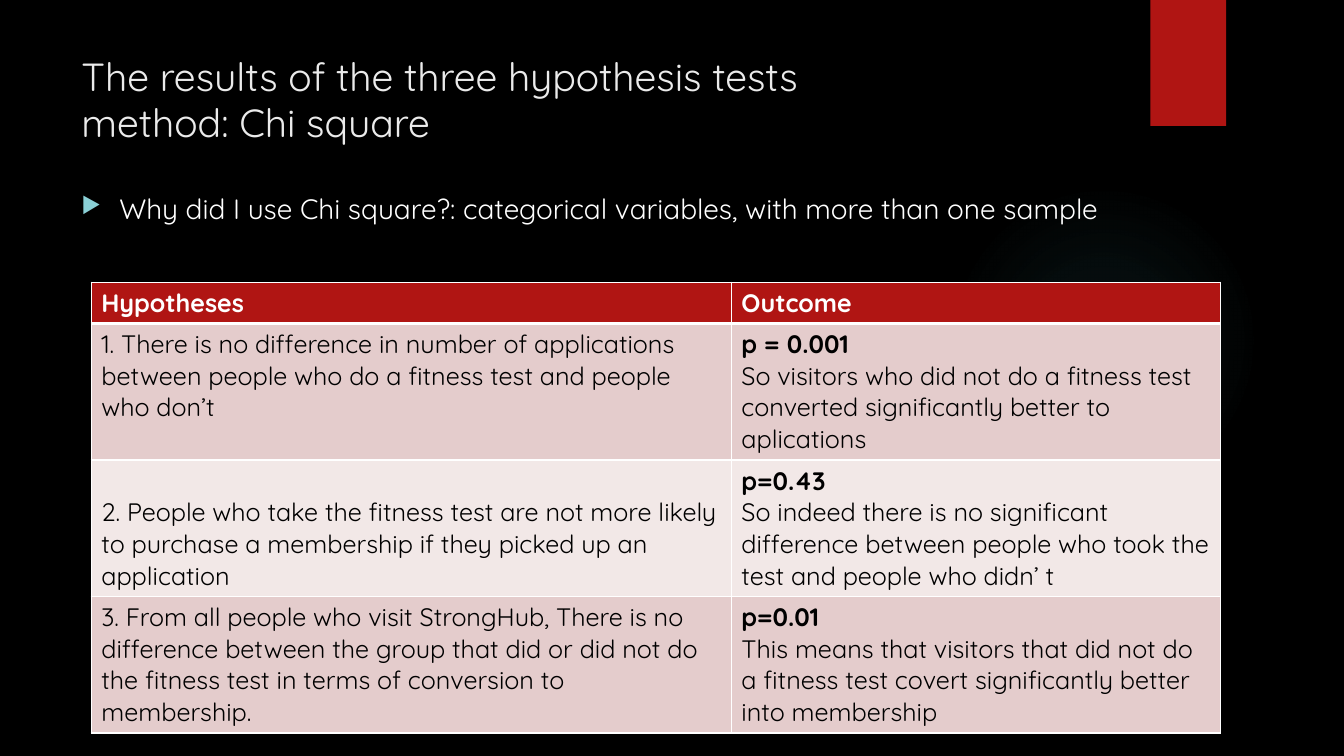
import pptx
import pptx.dml.color
import pptx.enum.shapes
import pptx.enum.text
import pptx.oxml
import pptx.oxml.ns
import pptx.util

Pt = pptx.util.Pt
RGBColor = pptx.dml.color.RGBColor
MSO_SHAPE = pptx.enum.shapes.MSO_SHAPE
MSO_ANCHOR = pptx.enum.text.MSO_ANCHOR

FONT = "Quicksand"
BLACK = RGBColor(0x00, 0x00, 0x00)
WHITE = RGBColor(0xFF, 0xFF, 0xFF)
TITLE_GREY = RGBColor(0xEB, 0xEB, 0xEB)
RED = RGBColor(0xB0, 0x15, 0x13)
DARK_BAND = RGBColor(0xE4, 0xCC, 0xCC)
LIGHT_BAND = RGBColor(0xF2, 0xE8, 0xE7)
GLOW = RGBColor(0x50, 0xB9, 0xC1)
BULLET = RGBColor(0x8A, 0xD0, 0xD6)
NAMESPACE = pptx.oxml.ns.nsdecls("a")


def style(para, size, color, bold=False):
    """Format every run of a paragraph."""
    for span in para.runs:
        span.font.name = FONT
        span.font.size = Pt(size)
        span.font.bold = bold
        span.font.color.rgb = color


def add_text(page, left, top, width, height, text, size, color):
    """Add a wrapped text box and return its paragraph."""
    box = page.shapes.add_textbox(Pt(left), Pt(top), Pt(width), Pt(height))
    box.text_frame.word_wrap = True
    para = box.text_frame.paragraphs[0]
    para.text = text
    style(para, size, color)
    return para


deck = pptx.Presentation()
deck.slide_width, deck.slide_height = Pt(960), Pt(540)
page = deck.slides.add_slide(deck.slide_layouts[6])
page.background.fill.solid()
page.background.fill.fore_color.rgb = BLACK

# Soft glow and red tab
glow = page.shapes.add_shape(MSO_SHAPE.OVAL, Pt(677.5), Pt(131.8), Pt(221.8), Pt(221.8))
tab = page.shapes.add_shape(MSO_SHAPE.RECTANGLE, Pt(821.8), Pt(0), Pt(54), Pt(90))
for shape in (glow, tab):
    shape.shadow.inherit = False
    shape.line.fill.background()
    shape.fill.solid()
    shape.fill.fore_color.rgb = RED

stops = "".join(
    f'<a:gs pos="{position * 1000}"><a:srgbClr val="{GLOW}">'
    f'<a:alpha val="{opacity * 1000}"/></a:srgbClr></a:gs>'
    for position, opacity in ((0, 7), (36, 6), (69, 0))
)
gradient = pptx.oxml.parse_xml(
    f'<a:gradFill {NAMESPACE}><a:gsLst>{stops}</a:gsLst><a:path path="circle">'
    '<a:fillToRect l="50000" t="50000" r="50000" b="50000"/></a:path></a:gradFill>'
)
properties = glow.element.spPr
properties.replace(properties.find(pptx.oxml.ns.qn("a:solidFill")), gradient)

# Title and reason
title = add_text(page, 51.1, 36, 741, 110,
                 "The results of the three hypothesis tests\vmethod: Chi square", 28, TITLE_GREY)
title.line_spacing = 0.97

reason = add_text(page, 51.1, 133.2, 770, 60,
                  "Why did I use Chi square?: categorical variables, with more than one sample",
                  20, WHITE)
reason.space_before = Pt(10)
bullet = reason._p.get_or_add_pPr()
bullet.set("marL", str(Pt(27)))
bullet.set("indent", str(-Pt(27)))
for markup in (
    f'<a:buClr {NAMESPACE}><a:srgbClr val="{BULLET}"/></a:buClr>',
    f'<a:buSzPct {NAMESPACE} val="80000"/>',
    f'<a:buChar {NAMESPACE} char="\u25b6"/>',
):
    bullet.append(pptx.oxml.parse_xml(markup))

# Hypotheses and outcomes
rows = [
    ("Hypotheses", "Outcome"),
    ("1. There is no difference in number of applications between people who do a fitness test "
     "and people who don’t",
     "p = 0.001\nSo visitors who did not do a fitness test converted significantly better to "
     "aplications"),
    ("2. People who take the fitness test are not more likely to purchase a membership if they "
     "picked up an application",
     "p=0.43\nSo indeed there is no significant difference between people who took the test and "
     "people who didn’ t"),
    ("3. From all people who visit StrongHub, There is no difference between the group that did "
     "or did not do the fitness test in terms of conversion to membership.",
     "p=0.01\nThis means that visitors that did not do a fitness test covert significantly "
     "better into membership"),
]
fills = (RED, DARK_BAND, LIGHT_BAND, DARK_BAND)
table = page.shapes.add_table(4, 2, Pt(65.2), Pt(201.6), Pt(806.4), Pt(322)).table
table.columns[0].width, table.columns[1].width = Pt(457.2), Pt(349.2)

for row, texts in enumerate(rows):
    header = row == 0
    table.rows[row].height = Pt(29.5 if header else 97.5)
    for column, text in enumerate(texts):
        cell = table.cell(row, column)
        cell.text_frame.text = text
        cell.vertical_anchor = MSO_ANCHOR.BOTTOM if row > 1 else MSO_ANCHOR.TOP
        cell.fill.solid()
        cell.fill.fore_color.rgb = fills[row]
        for index, para in enumerate(cell.text_frame.paragraphs):
            is_result = column == 1 and index == 0
            style(para, 18, WHITE if header else BLACK, header or is_result)
        widths = {"L": 1, "R": 1, "T": 3 if row == 1 else 1, "B": 3 if header else 1}
        for place, (side, width) in enumerate(widths.items()):
            border = pptx.oxml.parse_xml(
                f'<a:ln{side} {NAMESPACE} w="{Pt(width)}"><a:solidFill>'
                f'<a:srgbClr val="{WHITE}"/></a:solidFill></a:ln{side}>'
            )
            cell._tc.get_or_add_tcPr().insert(place, border)

deck.save("out.pptx")
